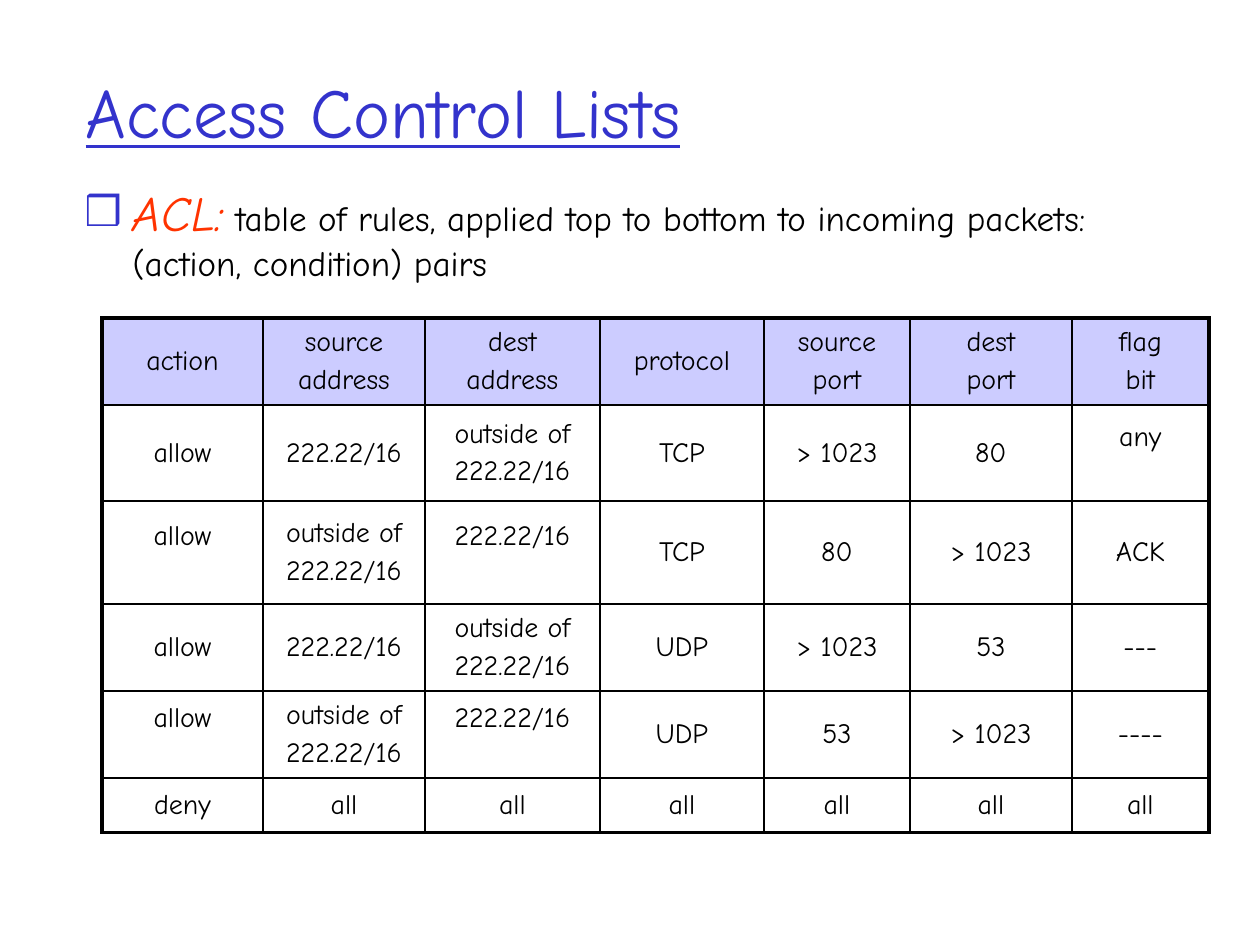
"""Build the Access Control Lists slide: title, definition and rule table."""
import lxml.etree
import pptx
import pptx.dml.color
import pptx.enum.text
import pptx.oxml.ns
import pptx.util

SCALE = 914400 / 126
FONT = "Comic Neue"
COLORS = {"blue": "3333CC", "red": "FF3300", "ink": "000000", "header": "CCCCFF"}

TITLE = "Access Control Lists"
TERM = "ACL:"
DEFINITION = " table of rules, applied top to bottom to incoming packets: (action, condition) pairs"
INSIDE = "222.22/16"
OUTSIDE = "outside of\n222.22/16"
RULES = [
    ["action", "source\naddress", "dest\naddress", "protocol", "source\nport", "dest\nport", "flag\nbit"],
    ["allow", INSIDE, OUTSIDE, "TCP", "> 1023", "80", "any"],
    ["allow", OUTSIDE, INSIDE, "TCP", "80", "> 1023", "ACK"],
    ["allow", INSIDE, OUTSIDE, "UDP", "> 1023", "53", "---"],
    ["allow", OUTSIDE, INSIDE, "UDP", "53", "> 1023", "----"],
    ["deny"] + ["all"] * 6,
]
RAISED = {(1, 6), (2, 0), (2, 2), (4, 0), (4, 2)}

TITLE_BOX = (73, 31, 1071, 158)
BODY_BOX = (72, 176, 1071, 140)
TABLE_ORIGIN = (102, 318)
COLUMN_WIDTHS = [161, 162, 175, 164, 146, 162, 137]
ROW_HEIGHTS = [87, 96, 103, 87, 87, 55]
RAISED_MARGIN = 38
INDENT = 48


def px(length):
    return pptx.util.Emu(round(length * SCALE))


def add_span(para, text, size=16, color="ink", italic=False, underline=False):
    span = para.add_run()
    span.text = text
    font = span.font
    font.name, font.size = FONT, pptx.util.Pt(size)
    font.italic, font.underline = italic, underline
    font.color.rgb = pptx.dml.color.RGBColor.from_string(COLORS[color])


def add_node(parent, tag, **attributes):
    node = lxml.etree.SubElement(parent, pptx.oxml.ns.qn(tag))
    for name, value in attributes.items():
        node.set(name, str(value))
    return node


def place(box, bounds, anchor):
    box.left, box.top, box.width, box.height = map(px, bounds)
    box.text_frame.word_wrap = True
    box.text_frame.auto_size = pptx.enum.text.MSO_AUTO_SIZE.NONE
    box.text_frame.vertical_anchor = anchor
    return box.text_frame.paragraphs[0]


def set_bullet(para, symbol, color, percent):
    properties = para._p.get_or_add_pPr()
    properties.set("marL", str(px(INDENT)))
    properties.set("indent", str(px(-INDENT)))
    add_node(add_node(properties, "a:buClr"), "a:srgbClr", val=COLORS[color])
    add_node(properties, "a:buSzPct", val=percent * 1000)
    add_node(properties, "a:buChar", char=symbol)


def set_borders(cell, widths):
    properties = cell._tc.get_or_add_tcPr()
    for position, (side, width) in enumerate(widths.items()):
        line = add_node(properties, f"a:ln{side}", w=pptx.util.Pt(width))
        add_node(add_node(line, "a:solidFill"), "a:srgbClr", val=COLORS["ink"])
        properties.insert(position, line)


def fill_cell(cell, text, header, raised):
    if header:
        cell.fill.solid()
        cell.fill.fore_color.rgb = pptx.dml.color.RGBColor.from_string(COLORS["header"])
    else:
        cell.fill.background()
    cell.vertical_anchor = pptx.enum.text.MSO_ANCHOR.MIDDLE
    if raised:
        cell.margin_bottom = px(RAISED_MARGIN)
    for index, line in enumerate(text.split("\n")):
        frame = cell.text_frame
        para = frame.add_paragraph() if index else frame.paragraphs[0]
        para.alignment = pptx.enum.text.PP_ALIGN.CENTER
        para.space_before = pptx.util.Pt(3.2)
        add_span(para, line)


def add_rules(page):
    size = sum(COLUMN_WIDTHS), sum(ROW_HEIGHTS)
    rows, columns = len(RULES), len(RULES[0])
    table = page.shapes.add_table(rows, columns, *map(px, TABLE_ORIGIN + size)).table
    table.first_row = table.horz_banding = False
    for column, width in zip(table.columns, COLUMN_WIDTHS):
        column.width = px(width)
    for row, height in zip(table.rows, ROW_HEIGHTS):
        row.height = px(height)
    for r, rule in enumerate(RULES):
        for c, text in enumerate(rule):
            cell = table.cell(r, c)
            fill_cell(cell, text, header=r == 0, raised=(r, c) in RAISED)
            outer = {"L": c == 0, "R": c == columns - 1, "T": r == 0, "B": r == rows - 1}
            set_borders(cell, {side: 2.25 if edge else 1 for side, edge in outer.items()})


def main():
    deck = pptx.Presentation()
    deck.slide_width, deck.slide_height = px(1260), px(945)
    page = deck.slides.add_slide(deck.slide_layouts[1])

    heading = place(page.shapes.title, TITLE_BOX, pptx.enum.text.MSO_ANCHOR.MIDDLE)
    heading.alignment = pptx.enum.text.PP_ALIGN.LEFT
    add_span(heading, TITLE, size=40, color="blue", underline=True)

    para = place(page.placeholders[1], BODY_BOX, pptx.enum.text.MSO_ANCHOR.TOP)
    para.space_before = pptx.util.Pt(5.6)
    set_bullet(para, "❒", color="blue", percent=85)
    add_span(para, TERM, size=28, color="red", italic=True)
    add_span(para, DEFINITION, size=20)

    add_rules(page)
    deck.save("out.pptx")


if __name__ == "__main__":
    main()
